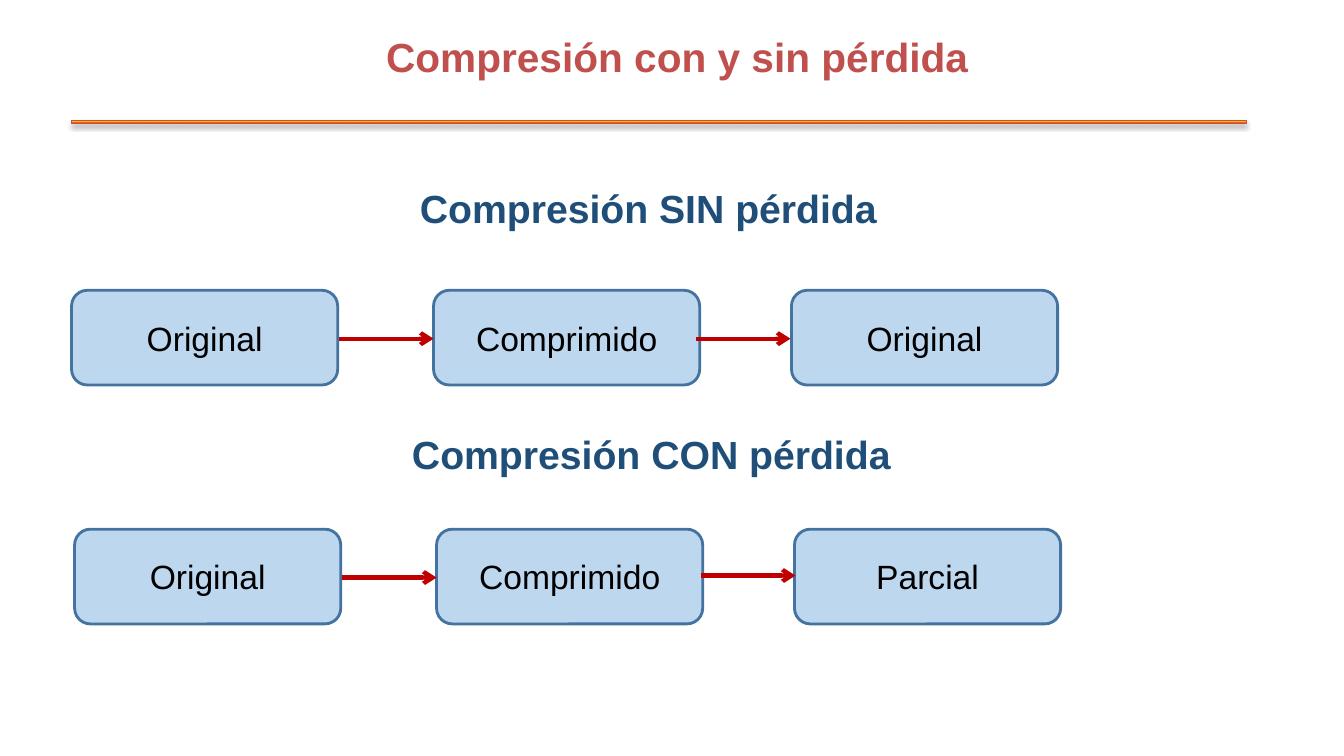
from dataclasses import dataclass

from lxml import etree
from pptx import Presentation
from pptx import util as u
from pptx.dml.color import RGBColor
from pptx.enum import shapes, text
from pptx.oxml import ns

PX = 9144  # EMU per px, 100 px to the inch


@dataclass(frozen=True)
class Theme:
    font: str = "Arial"
    title: str = "C0504D"
    heading: str = "1F4E79"
    box_fill: str = "BDD7EE"
    box_line: str = "43739E"
    box_text: str = "000000"
    arrow: str = "C00000"
    shadow: str = "000000"
    rule_stops: tuple = ((0, "FFF200"), (45, "FF7A00"), (70, "FF0300"), (100, "4D0808"))
    title_size: int = 29
    heading_size: int = 28
    box_size: int = 24


THEME = Theme()


def px(*lengths):
    return [u.Emu(length * PX) for length in lengths]


def rgb(color):
    return RGBColor.from_string(color)


def add_node(parent, tag, **attributes):
    node = etree.SubElement(parent, ns.qn(tag))
    for name, value in attributes.items():
        node.set(name, str(value))
    return node


def write(shape, words, size, color, bold=False):
    frame = shape.text_frame
    frame.word_wrap = True
    frame.vertical_anchor = text.MSO_ANCHOR.MIDDLE
    paragraph = frame.paragraphs[0]
    paragraph.alignment = text.PP_ALIGN.CENTER
    run = paragraph.add_run()
    run.text = words
    run.font.name = THEME.font
    run.font.size = u.Pt(size)
    run.font.bold = bold
    run.font.color.rgb = rgb(color)


def add_heading(slide, box, words, size, color):
    write(slide.shapes.add_textbox(*px(*box)), words, size, color, bold=True)


def add_rule(slide, box):
    rule = slide.shapes.add_shape(shapes.MSO_SHAPE.RECTANGLE, *px(*box))
    rule.line.color.rgb = rgb(THEME.title)
    rule.line.width = u.Pt(0.75)
    rule.shadow.inherit = False

    # Gradient from top to bottom
    rule.fill.gradient()
    rule.fill.gradient_angle = 270
    properties = rule.element.spPr
    stops = properties.find(".//" + ns.qn("a:gsLst"))
    for stop in list(stops):
        stops.remove(stop)
    for position, color in THEME.rule_stops:
        stop = add_node(stops, "a:gs", pos=position * 1000)
        add_node(stop, "a:srgbClr", val=color)

    # Soft shadow below
    shadow = add_node(properties.find(ns.qn("a:effectLst")), "a:outerShdw",
                      blurRad=u.Pt(3.1), dist=u.Pt(1.8), dir=90 * 60000, rotWithShape=0)
    add_node(add_node(shadow, "a:srgbClr", val=THEME.shadow), "a:alpha", val=35000)


def add_box(slide, box, words):
    shape = slide.shapes.add_shape(shapes.MSO_SHAPE.ROUNDED_RECTANGLE, *px(*box))
    shape.shadow.inherit = False
    shape.fill.solid()
    shape.fill.fore_color.rgb = rgb(THEME.box_fill)
    shape.line.color.rgb = rgb(THEME.box_line)
    shape.line.width = u.Pt(2)
    write(shape, words, THEME.box_size, THEME.box_text)


def add_arrow(slide, left, y, length):
    arrow = slide.shapes.add_connector(
        shapes.MSO_CONNECTOR.STRAIGHT, *px(left, y, left + length, y))
    arrow.line.color.rgb = rgb(THEME.arrow)
    arrow.line.width = u.Pt(3)
    add_node(arrow.line._get_or_add_ln(), "a:tailEnd", type="arrow")
    add_node(arrow.element.spPr, "a:effectLst")


def add_title(slide, box):
    left, top, width, height = box
    add_heading(slide, (left + 26, top, 1150, 88), "Compresión con y sin pérdida",
                THEME.title_size, THEME.title)
    add_rule(slide, (left, top + height, width, 3))


def add_process(slide, box, heading, steps, second_arrow):
    """Heading at the top of the box, with a row of linked steps at its foot."""
    left, top, width, height = box
    step_width, step_height = 264, 94
    row_top = top + height - step_height
    add_heading(slide, (left - 3, top, width, 88), heading,
                THEME.heading_size, THEME.heading)
    for offset, words in zip((0, 359, 714), steps):
        add_box(slide, (left + offset, row_top, step_width, step_height), words)
    for offset, drop in ((265, 48), second_arrow):
        add_arrow(slide, left + offset, row_top + drop, 94)


def main():
    presentation = Presentation()
    presentation.slide_width, presentation.slide_height = px(1333, 750)
    slide = presentation.slides.add_slide(presentation.slide_layouts[6])

    add_title(slide, (71, 12, 1165, 108))
    add_process(slide, (71, 162, 1150, 220), "Compresión SIN pérdida",
                ("Original", "Comprimido", "Original"), (619, 48))
    add_process(slide, (74, 406, 1150, 213), "Compresión CON pérdida",
                ("Original", "Comprimido", "Parcial"), (621, 46))
    presentation.save("out.pptx")


if __name__ == "__main__":
    main()
